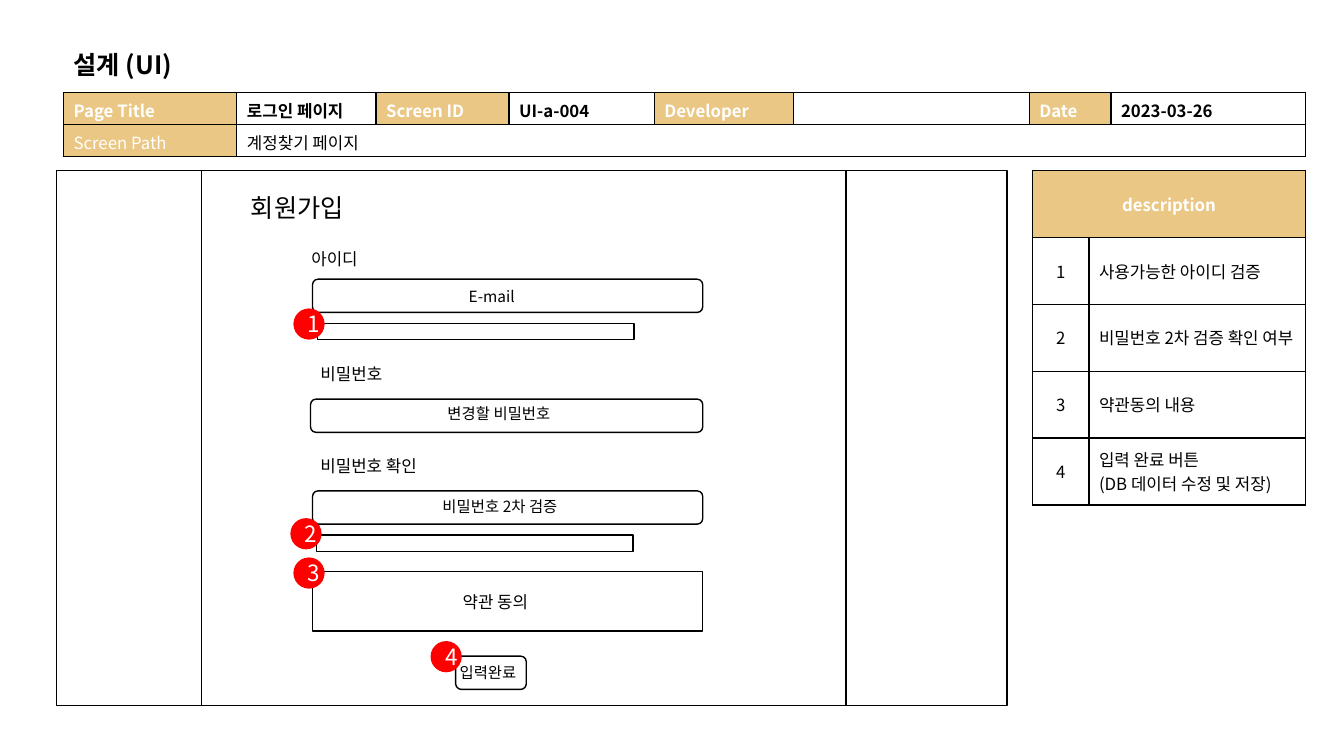
"""Build the sign-up screen design slide: header table, wireframe and description table."""
from lxml.etree import SubElement
from pptx import Presentation
from pptx.dml.color import RGBColor
from pptx.enum.shapes import MSO_SHAPE
from pptx.enum.text import MSO_ANCHOR, MSO_AUTO_SIZE, PP_ALIGN
from pptx.oxml.ns import qn
from pptx.util import Inches, Pt

FONT = "Noto Sans CJK KR"
BLACK, WHITE, SAND, RED = "000000", "FFFFFF", "EAC784", "FF0000"
GRID = Inches(0.1)


def paint(fill, color):
    """Give a fill, a line's fill or a font's fill one solid colour."""
    fill.solid()
    fill.fore_color.rgb = RGBColor.from_string(color)


def write(frame, text, size=12, color=BLACK, bold=False, align=PP_ALIGN.LEFT):
    """Fill a text frame, one paragraph for each line of text."""
    for number, line in enumerate(text.split("\n")):
        paragraph = frame.add_paragraph() if number else frame.paragraphs[0]
        paragraph.alignment = align
        if not line:
            SubElement(paragraph._p, qn("a:endParaRPr"), sz=str(size * 100))
            continue
        run = paragraph.add_run()
        run.text = line
        run.font.size, run.font.bold, run.font.name = Pt(size), bold, FONT
        paint(run.font.fill, color)
        SubElement(run._r.get_or_add_rPr(), qn("a:ea"), typeface=FONT)


deck = Presentation()
deck.slide_width, deck.slide_height = Inches(13.33), Inches(7.5)
slide = deck.slides.add_slide(deck.slide_layouts[5])
shapes = slide.shapes

heading = shapes.title
heading.left, heading.top, heading.width, heading.height = (
    round(v * GRID) for v in (6.3, 4.4, 12.8, 4))
heading.text_frame.vertical_anchor = MSO_ANCHOR.TOP
heading.text_frame.word_wrap = False
heading.text_frame.auto_size = MSO_AUTO_SIZE.SHAPE_TO_FIT_TEXT
write(heading.text_frame, "설계 (UI)", size=18, bold=True)

field_left, field_width, field_height = 31, 38.7, 3.3
check_width, check_height = 31.4, 1.6
outlines = [
    (MSO_SHAPE.RECTANGLE, 5.6, 16.9, 94.3, 53.1),
    (MSO_SHAPE.RECTANGLE, 20, 16.9, 63.9, 53.1),
    (MSO_SHAPE.ROUNDED_RECTANGLE, 45.2, 65.1, 7, field_height),
    (MSO_SHAPE.ROUNDED_RECTANGLE, field_left, 27.7, field_width, field_height),
    (MSO_SHAPE.RECTANGLE, 31.5, 32.1, check_width, check_height),
    (MSO_SHAPE.ROUNDED_RECTANGLE, 30.8, 39.6, 38.9, field_height),
    (MSO_SHAPE.ROUNDED_RECTANGLE, field_left, 48.7, field_width, field_height),
    (MSO_SHAPE.RECTANGLE, 31.4, 53.1, check_width, check_height),
    (MSO_SHAPE.RECTANGLE, field_left, 56.7, field_width, 5.9),
]
for form, *box in outlines:
    outline = shapes.add_shape(form, *(round(v * GRID) for v in box))
    outline.shadow.inherit = False
    outline.fill.background()
    paint(outline.line.fill, BLACK)
    outline.line.width = Pt(1)

label_height = {11: 2.9, 12: 3, 18: 4}
labels = [
    ("회원가입", 18, 23.9, 18.6, 12.1),
    ("입력완료", 11, 44.6, 65.3, 8.2),
    ("E-mail", 11, 45.5, 28, 8.1),
    ("아이디", 12, 29.9, 24.2, 7.7),
    ("변경할 비밀번호", 11, 43.4, 39.6, 13.7),
    ("비밀번호", 12, 30.8, 35.6, 8.8),
    ("비밀번호 2차 검증", 11, 42.9, 48.8, 14.7),
    ("비밀번호 확인", 12, 30.8, 44.7, 12.7),
    ("약관 동의", 12, 44.9, 58.2, 9.3),
]
for text, size, left, top, width in labels:
    label = shapes.add_textbox(
        *(round(v * GRID) for v in (left, top, width, label_height[size])))
    label.text_frame.word_wrap = False
    label.text_frame.auto_size = MSO_AUTO_SIZE.SHAPE_TO_FIT_TEXT
    write(label.text_frame, text, size=size)

badge_corners = [(29.1, 30.6), (28.8, 51.4), (29.1, 55.3), (42.7, 63.6)]
for number, corner in enumerate(badge_corners, 1):
    badge = shapes.add_shape(
        MSO_SHAPE.OVAL, *(round(v * GRID) for v in (*corner, 3.1, 3.1)))
    badge.shadow.inherit = False
    badge.line.fill.background()
    paint(badge.fill, RED)
    badge.text_frame.vertical_anchor = MSO_ANCHOR.MIDDLE
    write(badge.text_frame, str(number), size=16, color=WHITE, align=PP_ALIGN.CENTER)

header_rows = [
    ["Page Title", "로그인 페이지", "Screen ID", "UI-a-004",
     "Developer", "", "Date", "2023-03-26"],
    ["Screen Path", "계정찾기 페이지"] + [""] * 6,
]
notes = ["사용가능한 아이디 검증", "비밀번호 2차 검증 확인 여부", "약관동의 내용",
         "입력 완료 버튼\n(DB 데이터 수정 및 저장)"]
description_rows = [["description", ""]] + [
    [str(number), note] for number, note in enumerate(notes, 1)]
header_labels = {(0, 0), (0, 2), (0, 4), (0, 6), (1, 0)}
tables = [
    (header_rows, 6.3, 9.2, [17.2, 13.8, 13.2, 14.4, 13.8, 23.4, 8.1, 19.3],
     3.15, header_labels, (1, 1, 7), MSO_ANCHOR.TOP, 0.2, ()),
    (description_rows, 102.4, 16.9, [5.6, 21.5],
     6.64, {(0, 0), (0, 1)}, (0, 0, 1), MSO_ANCHOR.MIDDLE, 0.5, (0,)),
]
for rows, left, top, widths, row_height, tinted, merge, anchor, foot, centred in tables:
    box = (left, top, sum(widths), row_height * len(rows))
    table = shapes.add_table(
        len(rows), len(widths), *(round(v * GRID) for v in box)).table
    table.first_row = table.horz_banding = False
    for column, width in zip(table.columns, widths):
        column.width = round(width * GRID)
    for r, row in enumerate(rows):
        table.rows[r].height = round(row_height * GRID)
        for c, text in enumerate(row):
            cell = table.cell(r, c)
            for side in ("lnL", "lnR", "lnT", "lnB"):
                border = SubElement(
                    cell._tc.get_or_add_tcPr(), qn(f"a:{side}"), w=str(Pt(1)))
                SubElement(SubElement(border, qn("a:solidFill")),
                           qn("a:srgbClr"), val=BLACK)
            paint(cell.fill, SAND if (r, c) in tinted else WHITE)
            cell.vertical_anchor = anchor
            cell.margin_bottom = round(foot * GRID)
            write(cell.text_frame, text,
                  color=WHITE if (r, c) in tinted else BLACK,
                  bold=r == 0,
                  align=PP_ALIGN.CENTER if c in centred else PP_ALIGN.LEFT)
    merged_row, first, last = merge
    table.cell(merged_row, first).merge(table.cell(merged_row, last))

deck.save("out.pptx")
